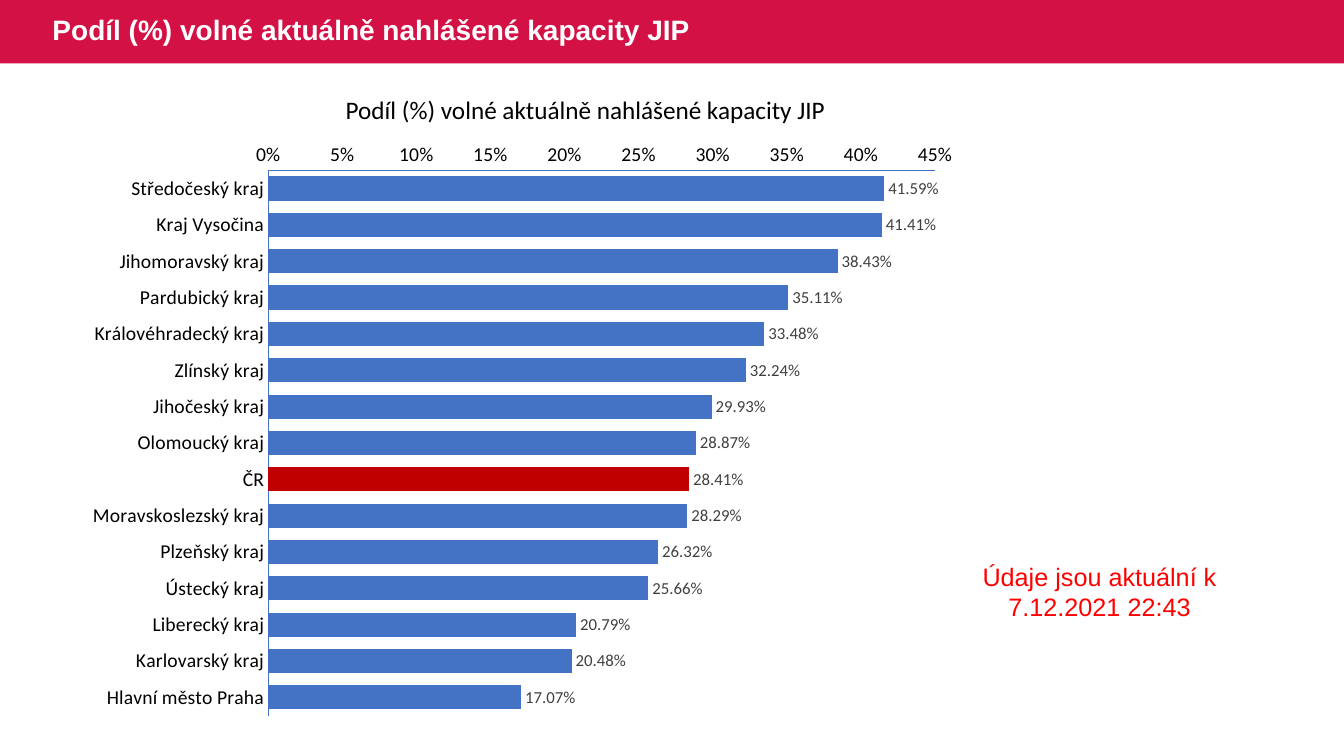
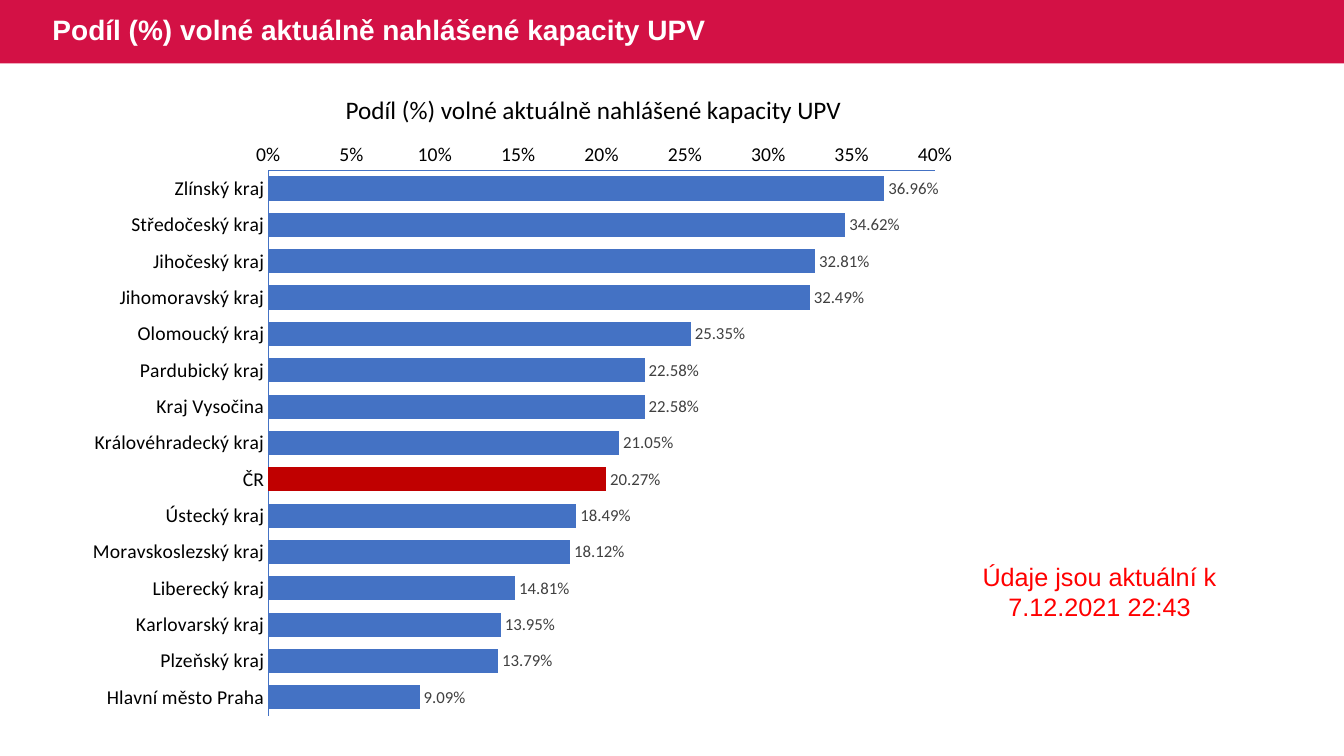
import pptx
import pptx.chart.data
import pptx.dml.color
import pptx.enum.chart
import pptx.enum.shapes
import pptx.enum.text
import pptx.oxml
import pptx.oxml.ns
import pptx.util

Inches = pptx.util.Inches
Pt = pptx.util.Pt
ALIGN = pptx.enum.text.PP_ALIGN

COLORS = {"band": "D31145", "white": "FFFFFF", "black": "000000", "bar": "4472C4",
          "total": "C00000", "label": "404040", "note": "FF0000"}
TOTAL = "ČR"
NOTE = "Údaje jsou aktuální k 7.12.2021 22:43"

# Each slide: title, end of the value axis, share by region
SLIDES = [
    ("Podíl (%) volné aktuálně nahlášené kapacity JIP", 0.45, {
        "Středočeský kraj": 0.4159, "Kraj Vysočina": 0.4141,
        "Jihomoravský kraj": 0.3843, "Pardubický kraj": 0.3511,
        "Královéhradecký kraj": 0.3348, "Zlínský kraj": 0.3224,
        "Jihočeský kraj": 0.2993, "Olomoucký kraj": 0.2887,
        TOTAL: 0.2841, "Moravskoslezský kraj": 0.2829,
        "Plzeňský kraj": 0.2632, "Ústecký kraj": 0.2566,
        "Liberecký kraj": 0.2079, "Karlovarský kraj": 0.2048,
        "Hlavní město Praha": 0.1707}),
    ("Podíl (%) volné aktuálně nahlášené kapacity UPV", 0.40, {
        "Zlínský kraj": 0.3696, "Středočeský kraj": 0.3462,
        "Jihočeský kraj": 0.3281, "Jihomoravský kraj": 0.3249,
        "Olomoucký kraj": 0.2535, "Pardubický kraj": 0.2258,
        "Kraj Vysočina": 0.2258, "Královéhradecký kraj": 0.2105,
        TOTAL: 0.2027, "Ústecký kraj": 0.1849,
        "Moravskoslezský kraj": 0.1812, "Liberecký kraj": 0.1481,
        "Karlovarský kraj": 0.1395, "Plzeňský kraj": 0.1379,
        "Hlavní město Praha": 0.0909}),
]


def color(name):
    return pptx.dml.color.RGBColor.from_string(COLORS[name])


def paint(fill, name):
    fill.solid()
    fill.fore_color.rgb = color(name)


def style(font, face, size, name, bold=False):
    font.name, font.size, font.bold = face, Pt(size), bold
    font.color.rgb = color(name)


class Deck:
    def __init__(self):
        self.prs = pptx.Presentation()
        self.prs.slide_width, self.prs.slide_height = Inches(13.33), Inches(7.5)
        self.slide = None

    def start(self, title):
        self.slide = self.prs.slides.add_slide(self.prs.slide_layouts[5])
        self.band()
        self.title(title)

    # Red band behind the title
    def band(self):
        band = self.slide.shapes.add_shape(
            pptx.enum.shapes.MSO_SHAPE.RECTANGLE, 0, 0, self.prs.slide_width, Inches(0.63))
        band.shadow.inherit = False
        paint(band.fill, "band")
        band.line.fill.background()
        self.slide.shapes.title.element.addprevious(band.element)

    def title(self, text):
        box = self.slide.shapes.title
        box.left, box.top = Inches(0.42), Inches(0)
        box.width, box.height = Inches(11.56), Inches(0.63)
        frame = box.text_frame
        frame.auto_size = pptx.enum.text.MSO_AUTO_SIZE.NONE
        frame.vertical_anchor = pptx.enum.text.MSO_ANCHOR.MIDDLE
        para = frame.paragraphs[0]
        para.alignment, para.line_spacing = ALIGN.LEFT, 0.9
        run = para.add_run()
        run.text = text
        style(run.font, "Arial", 20, "white", True)

    def text(self, text, place, face, name, align=ALIGN.LEFT, wrap=True):
        frame = self.slide.shapes.add_textbox(*map(Inches, place)).text_frame
        frame.word_wrap = wrap
        frame.auto_size = pptx.enum.text.MSO_AUTO_SIZE.SHAPE_TO_FIT_TEXT
        para = frame.paragraphs[0]
        para.alignment = align
        run = para.add_run()
        run.text = text
        style(run.font, face, 18, name)

    def chart(self, shares, top):
        data = pptx.chart.data.CategoryChartData(number_format="0.00%")
        data.categories = list(shares)
        data.add_series("Series 1", list(shares.values()))
        chart = self.slide.shapes.add_chart(
            pptx.enum.chart.XL_CHART_TYPE.BAR_CLUSTERED,
            *map(Inches, (0.74, 1.3, 8.89, 5.93)), data).chart
        chart.has_title = chart.has_legend = False
        style(chart.font, "Calibri", 10, "black")

        # Axes: the first region stands on top
        for axis in (chart.category_axis, chart.value_axis):
            axis.has_major_gridlines = False
            axis.major_tick_mark = axis.minor_tick_mark = pptx.enum.chart.XL_TICK_MARK.NONE
            axis.format.line.color.rgb = color("bar")
            axis.format.line.width = Pt(0.75)
            style(axis.tick_labels.font, "Calibri", 14, "black")
        chart.category_axis.reverse_order = True
        scale = chart.value_axis
        scale.minimum_scale, scale.maximum_scale, scale.major_unit = 0, top, 0.05
        scale.tick_labels.number_format = "0%"
        scale.tick_labels.number_format_is_linked = False

        # Bars, with the national total in red
        plot = chart.plots[0]
        plot.gap_width, plot.vary_by_categories = 50, False
        bars = plot.series[0]
        bars.invert_if_negative = False
        paint(bars.format.fill, "bar")
        paint(bars.points[list(shares).index(TOTAL)].format.fill, "total")
        labels = bars.data_labels
        labels.show_value = True
        labels.number_format, labels.number_format_is_linked = "0.00%", False
        labels.position = pptx.enum.chart.XL_LABEL_POSITION.OUTSIDE_END
        style(labels.font, "Calibri", 12, "label")
        self.frame(chart)

    # Fixed plot area, as shares of the chart size
    def frame(self, chart):
        area = chart.element.xpath("//c:plotArea")[0]
        for old in area.xpath("./c:layout"):
            area.remove(old)
        parts = [("layoutTarget", "inner"), ("xMode", "edge"), ("yMode", "edge"),
                 ("x", 0.216), ("y", 0.066), ("w", 0.744), ("h", 0.912)]
        marks = "".join(f'<c:{tag} val="{val}"/>' for tag, val in parts)
        area.insert(0, pptx.oxml.parse_xml(
            f'<c:layout {pptx.oxml.ns.nsdecls("c")}>'
            f'<c:manualLayout>{marks}</c:manualLayout></c:layout>'))


def main():
    deck = Deck()
    for title, top, shares in SLIDES:
        deck.start(title)
        deck.chart(shares, top)
        deck.text(title, (3.33, 0.89, 5.15, 0.4), "Calibri", "black", wrap=False)
        deck.text(NOTE, (9.63, 5.52, 2.55, 0.71), "Arial", "note", ALIGN.CENTER)
    deck.prs.save("out.pptx")


if __name__ == "__main__":
    main()
